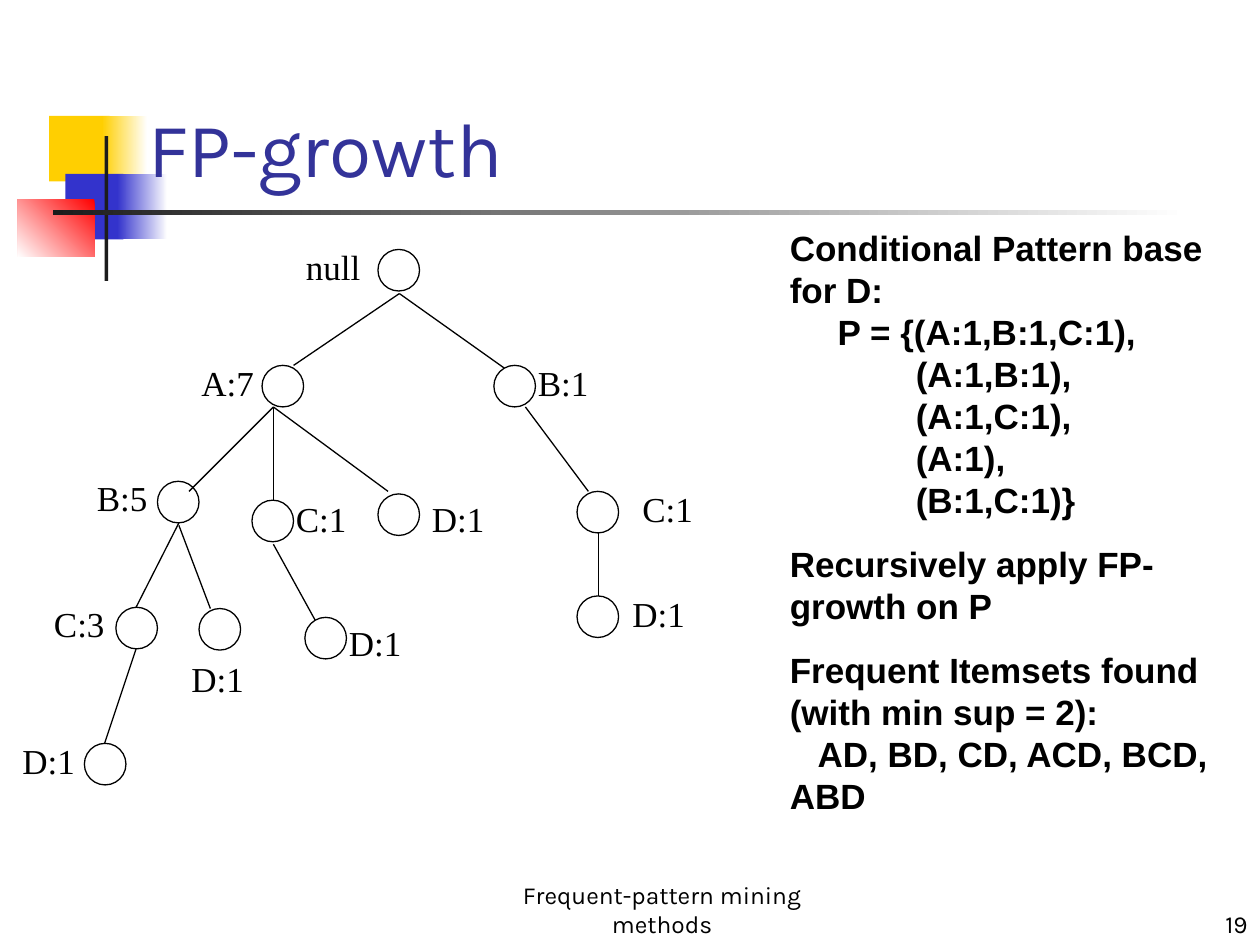
import dataclasses

import lxml.etree
import pptx
import pptx.dml.color
import pptx.enum.shapes
import pptx.enum.text
import pptx.oxml.ns
import pptx.util

Inches = pptx.util.Inches
Pt = pptx.util.Pt
ALIGN = pptx.enum.text.PP_ALIGN
ANCHOR = pptx.enum.text.MSO_ANCHOR
SHAPE = pptx.enum.shapes.MSO_SHAPE


@dataclasses.dataclass(frozen=True)
class Theme:
    title: str = "333399"
    ink: str = "000000"
    bar: str = "1C1C1C"
    white: str = "FFFFFF"
    yellow: str = "FFCF01"
    blue: str = "3333CC"
    red: str = "FF0000"
    heading_font: str = "Karla"
    label_font: str = "Times New Roman"
    body_font: str = "Arial"
    title_size: int = 44
    body_size: int = 20
    footer_size: int = 14
    line_width: float = 0.75
    paragraph_gap: float = 12.5


THEME = Theme()
NODE_SIZE = 0.33

DECORATION = [
    ((0.39, 0.92, 0.48, 0.52), [THEME.yellow], 0),
    ((0.81, 0.92, 0.36, 0.52), [THEME.white, THEME.yellow], 180),
    ((0.52, 1.38, 0.46, 0.52), [THEME.blue], 0),
    ((0.93, 1.38, 0.4, 0.52), [THEME.white, THEME.blue], 180),
    ((0.14, 1.58, 0.61, 0.46), [THEME.red, THEME.white], 225),
    ((0.83, 1.08, 0.03, 1.15), [THEME.bar], 0),
    ((0.42, 1.67, 9, 0.04), [THEME.white, THEME.bar], 180),
]

# node left, node top, label, label left, label top
NODES = [
    (3, 1.98, "null", 2.33, 1.9),
    (2.08, 2.9, "A:7", 1.5, 2.82),
    (3.92, 2.9, "B:1", 4.17, 2.82),
    (1.25, 3.82, "B:5", 0.67, 3.73),
    (2, 3.97, "C:1", 2.25, 3.9),
    (3, 3.92, "D:1", 3.33, 3.9),
    (4.58, 3.9, "C:1", 5, 3.82),
    (0.92, 4.82, "C:3", 0.33, 4.73),
    (1.58, 4.83, "D:1", 1.42, 5.17),
    (2.42, 4.9, "D:1", 2.67, 4.88),
    (4.58, 4.73, "D:1", 4.92, 4.65),
    (0.67, 5.9, "D:1", 0.08, 5.82),
]

EDGES = [
    (3.17, 2.33, 2.33, 2.9),
    (3.17, 2.33, 4, 2.92),
    (2.17, 3.23, 1.5, 3.9),
    (2.17, 3.23, 2.17, 3.98),
    (2.17, 3.23, 3.08, 3.9),
    (4.17, 3.23, 4.67, 3.9),
    (1.42, 4.15, 1.08, 4.82),
    (1.42, 4.17, 1.67, 4.83),
    (2.17, 4.32, 2.5, 4.92),
    (4.75, 4.23, 4.75, 4.73),
    (1.08, 5.15, 0.83, 5.9),
]

# text, first-line indent, space before
EXPLANATION = [
    ("Conditional Pattern base for D:", 0, 0),
    ("P = {(A:1,B:1,C:1),", 0.38, 0),
    ("(A:1,B:1),", 1, 0),
    ("(A:1,C:1),", 1, 0),
    ("(A:1),", 1, 0),
    ("(B:1,C:1)}", 1, 0),
    ("Recursively apply FP-growth on P", 0, THEME.paragraph_gap),
    ("Frequent Itemsets found (with min sup = 2):", 0, THEME.paragraph_gap),
    ("AD, BD, CD, ACD, BCD, ABD", 0.22, 0),
]


def rgb(value):
    return pptx.dml.color.RGBColor.from_string(value)


def add_block(s, box, colors, angle):
    sp = s.shapes.add_shape(SHAPE.RECTANGLE, *map(Inches, box))
    sp.shadow.inherit = False
    sp.line.fill.background()
    if len(colors) == 1:
        sp.fill.solid()
        sp.fill.fore_color.rgb = rgb(colors[0])
        return
    sp.fill.gradient()
    sp.fill.gradient_angle = angle
    for stop, color, position in zip(sp.fill.gradient_stops, colors, (0, 1)):
        stop.color.rgb = rgb(color)
        stop.position = position


def style_line(line):
    line.color.rgb = rgb(THEME.ink)
    line.width = Pt(THEME.line_width)


def add_node(s, left, top):
    sp = s.shapes.add_shape(SHAPE.OVAL, *map(Inches, (left, top, NODE_SIZE, NODE_SIZE)))
    sp.shadow.inherit = False
    sp.fill.background()
    style_line(sp.line)


def add_edge(s, ends):
    line = s.shapes.add_connector(
        pptx.enum.shapes.MSO_CONNECTOR.STRAIGHT, *map(Inches, ends))
    style_line(line.line)
    lxml.etree.SubElement(line._element.spPr, pptx.oxml.ns.qn("a:effectLst"))


def add_text(s, box, lines, font, size, color=THEME.ink, bold=False,
             align=ALIGN.LEFT, anchor=ANCHOR.TOP):
    tf = s.shapes.add_textbox(*map(Inches, box)).text_frame
    tf.word_wrap = True
    tf.vertical_anchor = anchor
    for i, (text, indent, gap) in enumerate(lines):
        p = tf.paragraphs[0] if i == 0 else tf.add_paragraph()
        p.text = text
        p.alignment = align
        p.space_before = Pt(gap)
        if indent:
            pPr = p._p.get_or_add_pPr()
            pPr.set("marL", "0")
            pPr.set("indent", str(Inches(indent)))
        p.font.name = font
        p.font.size = Pt(size)
        p.font.bold = bold
        p.font.color.rgb = rgb(color)


def add_tree(s):
    for ends in EDGES:
        add_edge(s, ends)
    for left, top, label, label_left, label_top in NODES:
        add_node(s, left, top)
        add_text(s, (label_left, label_top, 0.67, 0.44), [(label, 0, 0)],
                 THEME.label_font, THEME.body_size)


def main():
    prs = pptx.Presentation()
    prs.slide_width, prs.slide_height = Inches(10), Inches(7.5)
    s = prs.slides.add_slide(prs.slide_layouts[6])
    for box, colors, angle in DECORATION:
        add_block(s, box, colors, angle)
    add_text(s, (1.08, 0.33, 8.52, 1.25), [("FP-growth", 0, 0)], THEME.heading_font,
             THEME.title_size, THEME.title, anchor=ANCHOR.BOTTOM)
    add_tree(s)
    add_text(s, (6.17, 1.75, 3.67, 4.79), EXPLANATION, THEME.body_font,
             THEME.body_size, bold=True)
    for box, text, align in [
        ((3.67, 7, 3.17, 0.5), "Frequent-pattern mining methods", ALIGN.CENTER),
        ((7.92, 7, 2.08, 0.5), "19", ALIGN.RIGHT),
    ]:
        add_text(s, box, [(text, 0, 0)], THEME.heading_font, THEME.footer_size,
                 align=align, anchor=ANCHOR.BOTTOM)
    prs.save("out.pptx")


if __name__ == "__main__":
    main()
